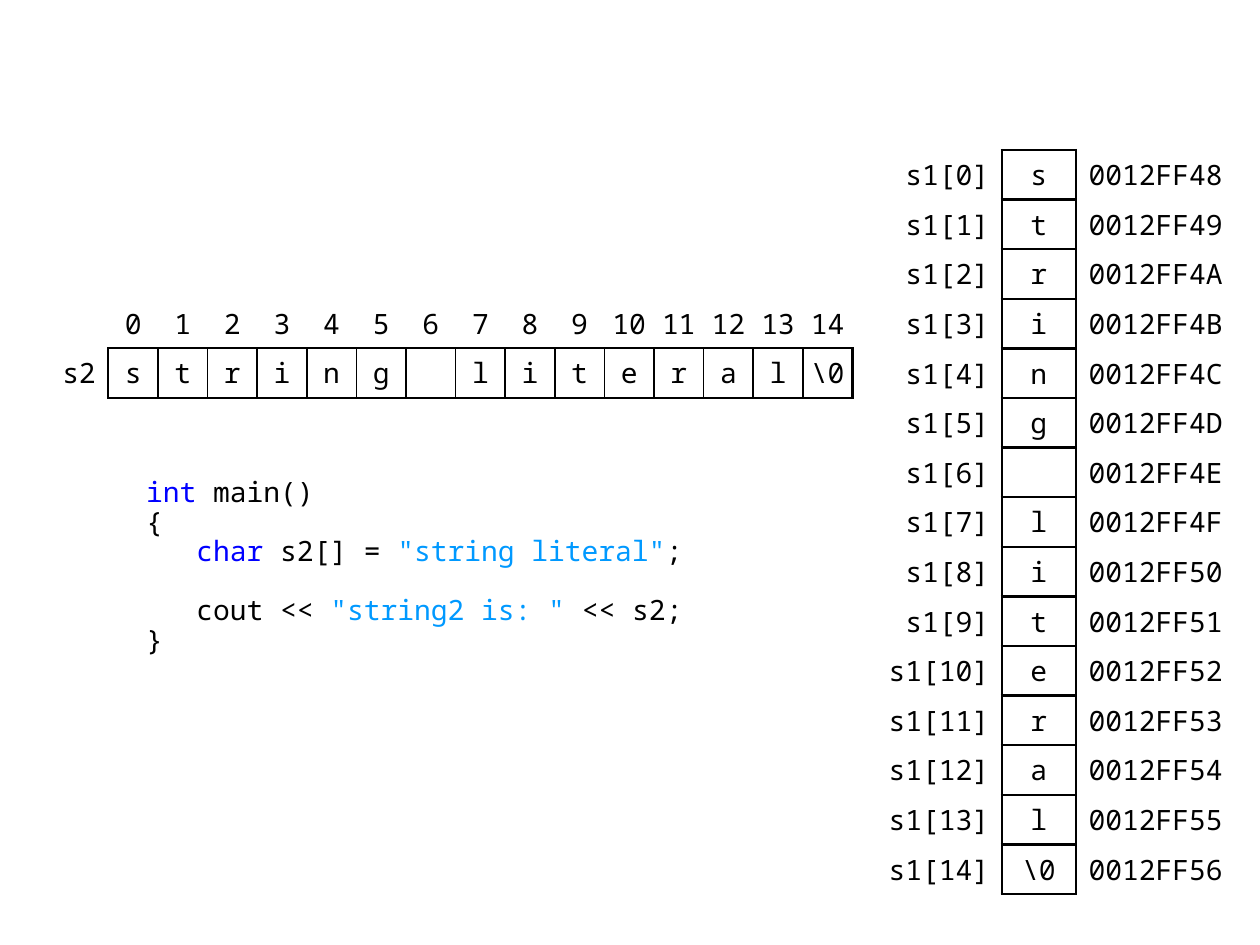
from dataclasses import dataclass

from lxml import etree
from pptx import Presentation
from pptx.dml.color import RGBColor
from pptx.enum import text
from pptx.oxml import ns
from pptx.util import Inches, Pt


@dataclass(frozen=True)
class Theme:
    font: str = "Noto Sans Mono"
    size: int = 16
    ink: str = "000000"
    paper: str = "FFFFFF"
    keyword: str = "0000FF"
    literal: str = "0099FF"
    blank: str = "5F5F5F"
    thick: float = 1.5
    thin: float = 1
    code_spacing: float = 0.88
    table_style: str = "{2D5ABB26-0587-4C30-8999-92F81FD0307C}"


LETTERS = [*"string literal", "\\0"]
COUNT = len(LETTERS)
STEP = 5.91 / COUNT
FIRST_ADDRESS = 0x0012FF48
LEFT, CENTER, RIGHT = text.PP_ALIGN.LEFT, text.PP_ALIGN.CENTER, text.PP_ALIGN.RIGHT


def write(paragraph, content, *, theme, color, align=LEFT):
    paragraph.alignment = align
    run = paragraph.add_run()
    run.text = content
    run.font.name = theme.font
    run.font.size = Pt(theme.size)
    run.font.color.rgb = RGBColor.from_string(color)


class SlideBuilder:
    def __init__(self, slide, theme):
        self.slide = slide
        self.theme = theme

    def code(self, lines, left, top, width, height):
        title = self.slide.shapes.title
        title.element.getparent().remove(title.element)
        body = self.slide.placeholders[1]
        body.left, body.top = Inches(left), Inches(top)
        body.width, body.height = Inches(width), Inches(height)
        frame = body.text_frame
        frame.word_wrap = True
        frame.auto_size = text.MSO_AUTO_SIZE.NONE
        frame.vertical_anchor = text.MSO_ANCHOR.TOP
        for index, line in enumerate(lines):
            paragraph = frame.add_paragraph() if index else frame.paragraphs[0]
            properties = paragraph._p.get_or_add_pPr()
            properties.set("marL", "0")
            properties.set("indent", "0")
            etree.SubElement(properties, ns.qn("a:buNone"))
            paragraph.space_before = Pt(0)
            paragraph.line_spacing = self.theme.code_spacing
            for content, color in line:
                write(paragraph, content, theme=self.theme, color=color)

    def table(self, left, top, widths, heights):
        frame = self.slide.shapes.add_table(
            len(heights), len(widths), Inches(left), Inches(top),
            Inches(sum(widths)), Inches(sum(heights)))
        table = frame.table
        table.first_row = table.horz_banding = False
        table._tbl.tblPr.find(ns.qn("a:tableStyleId")).text = self.theme.table_style
        for column, width in zip(table.columns, widths):
            column.width = Inches(width)
        for row, height in zip(table.rows, heights):
            row.height = Inches(height)
        return table

    def cell(self, cell, content, *, align, margins, borders, fill=None):
        cell.vertical_anchor = text.MSO_ANCHOR.MIDDLE
        cell.margin_left, cell.margin_top, cell.margin_right, cell.margin_bottom = map(Inches, margins)
        if content.strip():
            write(cell.text_frame.paragraphs[0], content, theme=self.theme,
                  color=self.theme.ink, align=align)
        for side in "LRTB":
            if side in borders:
                self.border(cell, side, borders[side])
        if fill:
            cell.fill.solid()
            cell.fill.fore_color.rgb = RGBColor.from_string(fill)
        else:
            cell.fill.background()

    def border(self, cell, side, points):
        line = etree.SubElement(cell._tc.get_or_add_tcPr(), ns.qn(f"a:ln{side}"), w=str(Pt(points)))
        solid = etree.SubElement(line, ns.qn("a:solidFill"))
        etree.SubElement(solid, ns.qn("a:srgbClr"), val=self.theme.ink)

    def index_strip(self, left, top):
        thick, thin = self.theme.thick, self.theme.thin
        table = self.table(left, top, [0.59] + [STEP] * COUNT, [STEP] * 2)
        flush = (0, 0, 0, 0)
        self.cell(table.cell(0, 0), "", align=CENTER, margins=flush, borders={})
        self.cell(table.cell(1, 0), "s2", align=RIGHT, margins=(0.1, 0, 0.1, 0), borders={"R": thick})
        for index, letter in enumerate(LETTERS):
            self.cell(table.cell(0, index + 1), str(index), align=CENTER, margins=flush,
                      borders={"B": thick})
            box = {"L": thin if index else thick, "T": thick, "B": thick,
                   "R": thin if index < COUNT - 1 else thick}
            self.cell(table.cell(1, index + 1), letter, align=CENTER, margins=flush, borders=box)

    def memory_column(self, left, top):
        thick, paper = self.theme.thick, self.theme.paper
        table = self.table(left, top, [1.18, 0.59, 1.38], [STEP] * COUNT)
        padded = (0.1, 0.04, 0.1, 0.04)
        for index, letter in enumerate(LETTERS):
            label, value, address = (table.cell(index, column) for column in range(3))
            self.cell(label, f"s1[{index}]", align=RIGHT, margins=padded, borders={"R": thick})
            self.cell(value, letter, align=CENTER, margins=padded,
                      borders=dict.fromkeys("LRTB", thick), fill=paper)
            self.cell(address, f"{FIRST_ADDRESS + index:08X}", align=LEFT,
                      margins=(0.1, 0.04, 0.08, 0.04), borders={"L": thick}, fill=paper)


def main():
    theme = Theme()
    presentation = Presentation()
    presentation.slide_width, presentation.slide_height = Inches(10), Inches(7.5)
    slide = presentation.slides.add_slide(presentation.slide_layouts[1])
    builder = SlideBuilder(slide, theme)
    builder.code([
        [("int", theme.keyword), (" main()", theme.ink)],
        [("{", theme.ink)],
        [("   ", theme.ink), ("char ", theme.keyword), ("s2[] = ", theme.ink),
         ('"string literal"', theme.literal), (";", theme.ink)],
        [(" ", theme.blank)],
        [("   cout << ", theme.ink), ('"string2 is: " ', theme.literal), ("<< s2;", theme.ink)],
        [("}", theme.ink)],
    ], 1.06, 3.75, 5.12, 1.77)
    builder.index_strip(0.27, 2.37)
    builder.memory_column(6.77, 1.19)
    presentation.save("out.pptx")


if __name__ == "__main__":
    main()
